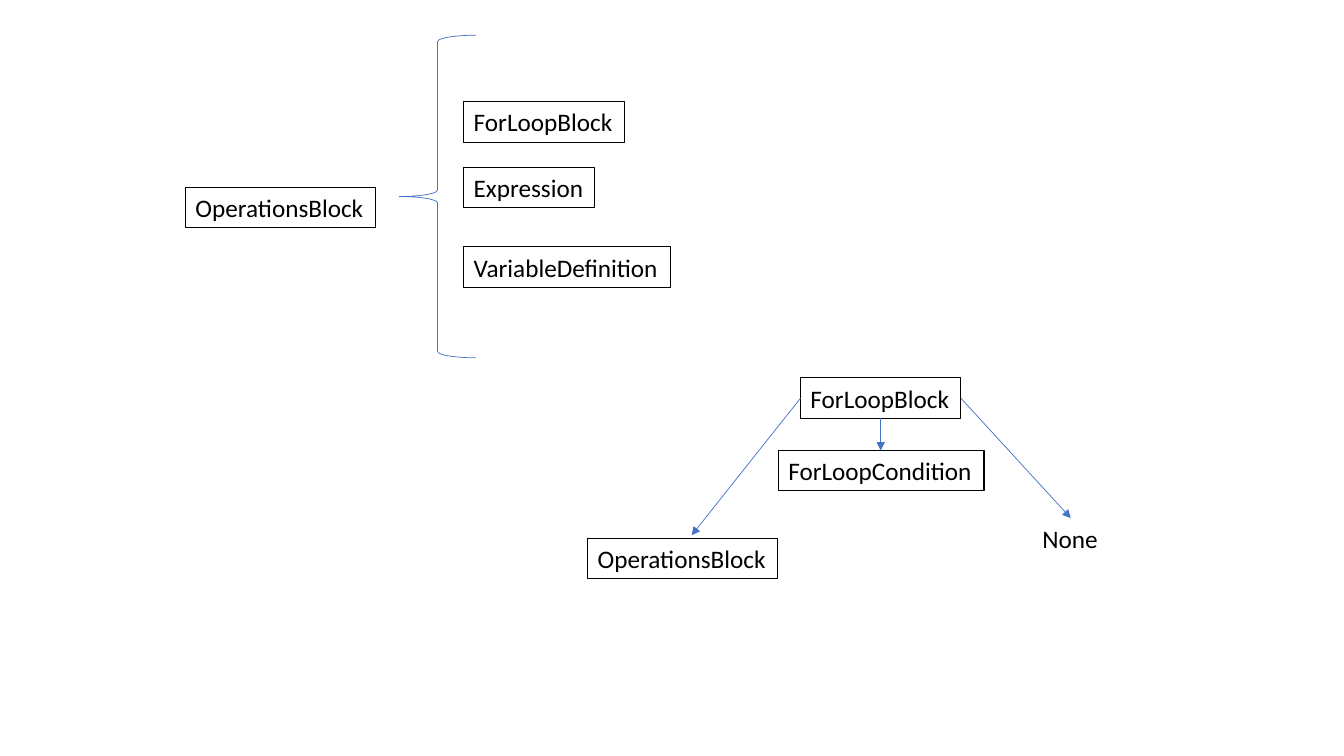
from lxml import etree
from pptx import Presentation
from pptx.dml.color import RGBColor
from pptx.enum.shapes import MSO_CONNECTOR as CONN, MSO_SHAPE as SHAPE
from pptx.enum.text import MSO_AUTO_SIZE as AUTO
from pptx.oxml.ns import qn
from pptx.util import Inches, Pt

BLACK = RGBColor(0x00, 0x00, 0x00)
BLUE = RGBColor(0x44, 0x72, 0xC4)
LABEL_H = 0.4
FONT = {"name": "Calibri", "size": Pt(18)}
FRAME = {"word_wrap": False, "auto_size": AUTO.SHAPE_TO_FIT_TEXT}


def set_attrs(obj, values):
    for name, value in values.items():
        setattr(obj, name, value)


def set_line(sp, color, width):
    sp.line.color.rgb = color
    sp.line.width = Pt(width)


def add_label(slide, text, x, y, w, boxed=True):
    sp = slide.shapes.add_textbox(Inches(x), Inches(y), Inches(w), Inches(LABEL_H))
    tf = sp.text_frame
    set_attrs(tf, FRAME)
    r = tf.paragraphs[0].add_run()
    r.text = text
    set_attrs(r.font, FONT)
    r.font.color.rgb = BLACK
    if boxed:
        set_line(sp, BLACK, 0.75)


def add_arrow(slide, x1, y1, x2, y2):
    sp = slide.shapes.add_connector(
        CONN.STRAIGHT, Inches(x1), Inches(y1), Inches(x2), Inches(y2))
    set_line(sp, BLUE, 0.5)
    etree.SubElement(sp.line._get_or_add_ln(), qn("a:tailEnd"), type="triangle")
    etree.SubElement(sp._element.spPr, qn("a:effectLst"))


def add_operations(slide, x, y, h):
    add_label(slide, "OperationsBlock", x, y + 1.51, 1.88)
    for text, dy, w in (("ForLoopBlock", 0.66, 1.59),
                        ("Expression", 1.31, 1.3),
                        ("VariableDefinition", 2.1, 2.05)):
        add_label(slide, text, x + 2.76, y + dy, w)
    sp = slide.shapes.add_shape(
        SHAPE.LEFT_BRACE, Inches(x + 2.12), Inches(y), Inches(0.76), Inches(h))
    sp.shadow.inherit = False
    sp.fill.background()
    set_line(sp, BLUE, 0.5)


def add_for_loop(slide, x, y):
    left, w = x + 2.11, 1.59
    mid, right = left + w / 2, left + w
    side_y = y + LABEL_H / 2
    add_label(slide, "ForLoopBlock", left, y, w)
    add_label(slide, "ForLoopCondition", x + 1.89, y + 0.72, 2.04)
    add_label(slide, "OperationsBlock", x, y + 1.59, 1.88)
    add_label(slide, "None", x + 4.41, y + 1.39, 0.76, boxed=False)
    add_arrow(slide, mid, y + LABEL_H, mid, y + 0.72)
    add_arrow(slide, left, side_y, x + 1.03, y + 1.56)
    add_arrow(slide, right, side_y, x + 4.79, y + 1.39)


prs = Presentation()
prs.slide_width, prs.slide_height = Inches(13.33), Inches(7.5)
slide = prs.slides.add_slide(prs.slide_layouts[6])
add_for_loop(slide, 5.83, 3.75)
add_operations(slide, 1.84, 0.35, 3.2)
prs.save("out.pptx")
